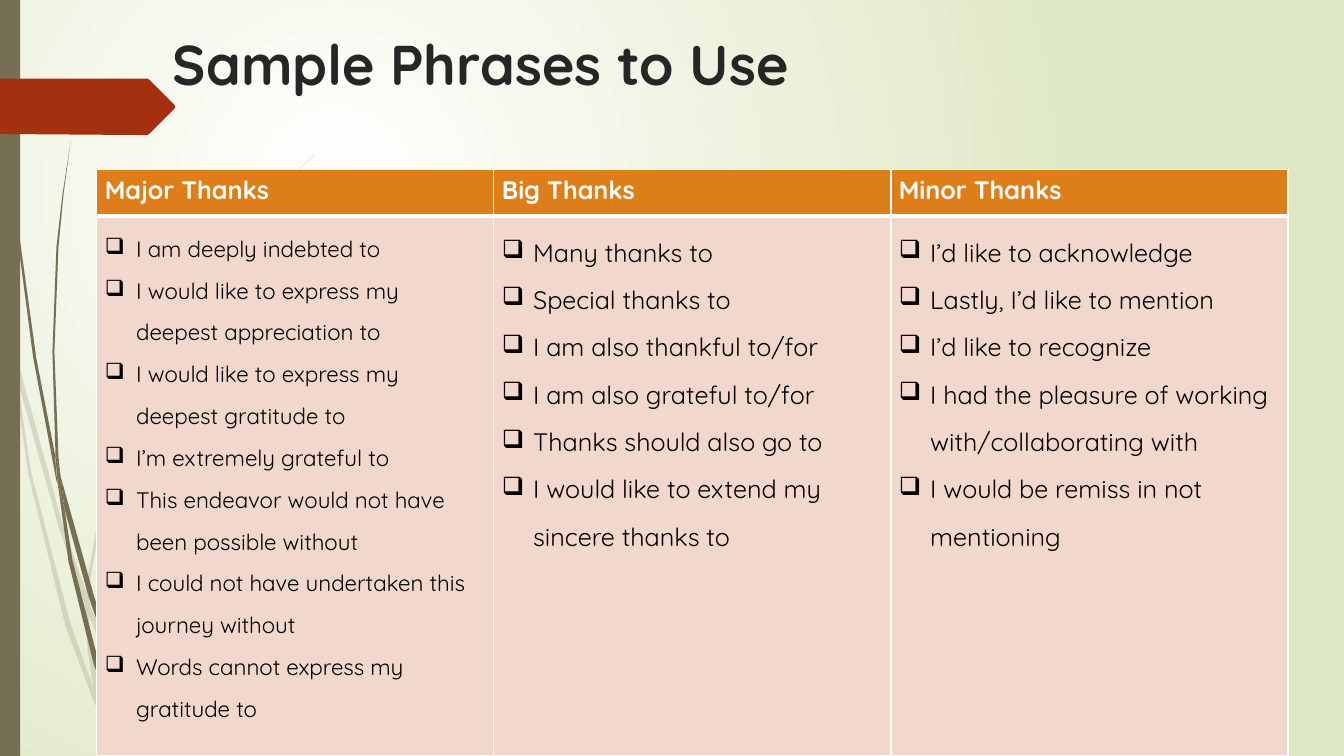
from dataclasses import dataclass

from pptx import Presentation
from pptx import util as u
from pptx.dml.color import RGBColor
from pptx.enum import shapes, text
from pptx.oxml import parse_xml
from pptx.oxml.ns import nsdecls, qn


@dataclass(frozen=True)
class Theme:
    font: str = "Quicksand"
    title_size: int = 40
    text_size: int = 18
    small_size: int = 16
    ink: str = "262626"
    black: str = "000000"
    white: str = "FFFFFF"
    leaf: str = "DFE8C4"
    stem: str = "766F54"
    arrow: str = "A53010"
    header: str = "DE7E18"
    body: str = "F2D8CC"


THEME = Theme()
OUTLINE_UNIT = u.Cm(2.54) / 100  # outlines are in hundredths of an inch

# Heading, type size and phrases of each column
COLUMNS = [
    ("Major Thanks", THEME.small_size, [
        "I am deeply indebted to",
        "I would like to express my deepest appreciation to",
        "I would like to express my deepest gratitude to",
        "I’m extremely grateful to",
        "This endeavor would not have been possible without",
        "I could not have undertaken this journey without",
        "Words cannot express my gratitude to"]),
    ("Big Thanks", THEME.text_size, [
        "Many thanks to",
        "Special thanks to",
        "I am also thankful to/for",
        "I am also grateful to/for",
        "Thanks should also go to",
        "I would like to extend my sincere thanks to"]),
    ("Minor Thanks", THEME.text_size, [
        "I’d like to acknowledge",
        "Lastly, I’d like to mention",
        "I’d like to recognize",
        "I had the pleasure of working with/collaborating with",
        "I would be remiss in not mentioning"]),
]

# Grass blades: x, y, x, y, ... along each outline
PALE_BLADES = [
    (11, 350, 9, 322, 0, 282, 0, 299, 10, 344),
    (58, 522, 84, 599, 85, 586, 62, 520, 14, 345, 17, 376),
    (92, 607, 88, 596, 88, 610, 123, 694, 150, 750, 155, 750, 127, 692),
    (119, 750, 124, 750, 105, 711),
    (93, 683, 70, 619, 31, 469, 17, 376, 11, 350, 28, 470, 65, 621, 92, 693,
     101, 714, 99, 707),
    (84, 599, 87, 646, 93, 683, 96, 692, 105, 711, 103, 706, 91, 646, 88, 610,
     88, 608),
    (88, 584, 110, 462, 160, 349, 229, 245, 268, 198, 290, 175, 312, 154,
     312, 153, 289, 175, 268, 197, 228, 244, 158, 348, 107, 461, 85, 584,
     85, 586, 88, 596),
    (101, 714, 114, 750, 119, 750),
    (88, 608, 88, 610, 88, 596, 85, 586, 84, 599),
    (96, 692, 93, 683, 99, 707, 101, 714, 119, 750, 105, 711),
]
DARK_BLADES = [
    (7, 110, 17, 233, 33, 355, 56, 477, 57, 481, 55, 457, 55, 453, 36, 355,
     19, 232, 8, 109, 5, 48, 4, 0, 3, 0, 4, 48),
    (88, 592, 106, 645, 106, 633, 106, 631, 93, 590, 60, 472, 64, 505),
    (113, 649, 110, 641, 111, 656, 132, 708, 152, 749, 157, 749, 136, 706),
    (110, 691, 98, 657, 72, 556, 64, 505, 57, 477, 68, 557, 93, 659, 111, 708,
     117, 722, 116, 717),
    (60, 472, 58, 453, 54, 349, 58, 245, 63, 193, 70, 141, 62, 193, 56, 245,
     52, 349, 55, 449),
    (133, 749, 136, 749, 122, 719),
    (57, 477, 64, 505, 60, 472, 55, 449, 55, 453),
    (111, 633, 125, 552, 158, 476, 205, 406, 231, 374, 245, 359, 261, 344,
     260, 344, 245, 358, 231, 373, 204, 405, 156, 474, 122, 551, 106, 631,
     110, 641),
    (117, 722, 127, 749, 131, 749),
    (106, 645, 110, 691, 116, 706, 122, 719, 121, 716, 111, 656, 109, 651),
    (106, 645, 109, 651, 111, 656, 110, 641, 106, 631, 106, 633),
    (116, 706, 110, 691, 116, 717, 117, 722, 130, 749, 133, 749, 122, 719),
]
TITLE_ARROW = (173, 108, 148, 133, 146, 134, 136, 134, 0, 133, 0, 78, 136, 78,
               146, 78, 148, 79, 173, 104, 174, 106)


def rgb(color):
    return RGBColor.from_string(color)


def paint_background(page):
    page.background.fill.solid()
    holder = page._element.find(".//" + qn("p:bgPr"))
    holder.remove(holder[0])
    stops = "".join(f'<a:gs pos="{pos}"><a:srgbClr val="{color}"/></a:gs>'
                    for pos, color in ((0, THEME.white), (100000, THEME.leaf)))
    holder.insert(0, parse_xml(
        f'<a:gradFill {nsdecls("a")}><a:gsLst>{stops}</a:gsLst>'
        '<a:path path="circle"><a:fillToRect l="50000" t="50000" r="100000" '
        'b="100000"/></a:path></a:gradFill>'))


def paint_shape(shape, color, opacity=100):
    shape.shadow.inherit = False
    shape.line.fill.background()
    shape.fill.solid()
    shape.fill.fore_color.rgb = rgb(color)
    if opacity < 100:
        tint = shape._element.spPr.find(".//" + qn("a:srgbClr"))
        tint.append(parse_xml(
            f'<a:alpha {nsdecls("a")} val="{opacity * 1000}"/>'))


def add_outline(parent, outline, color, opacity=100):
    points = list(zip(outline[::2], outline[1::2]))
    builder = parent.shapes.build_freeform(*points[0], scale=OUTLINE_UNIT)
    builder.add_line_segments(points[1:], close=True)
    paint_shape(builder.convert_to_shape(), color, opacity)


def add_grass(page, blades, opacity):
    group = page.shapes.add_group_shape()
    for blade in blades:
        add_outline(group, blade, THEME.stem, opacity)


def add_span(para, words, size, color, bold=False):
    span = para.add_run()
    span.text = words
    span.font.name = THEME.font
    span.font.size = u.Pt(size)
    span.font.bold = bold
    span.font.color.rgb = rgb(color)


def add_title(page, words):
    box = page.shapes.add_textbox(u.Cm(4.11), u.Cm(0.61), u.Cm(27.84), u.Cm(2.29))
    box.text_frame.word_wrap = True
    box.text_frame.vertical_anchor = text.MSO_ANCHOR.TOP
    add_span(box.text_frame.paragraphs[0], words, THEME.title_size, THEME.ink, True)


def style_cell(cell, color, borders):
    cell.fill.solid()
    cell.fill.fore_color.rgb = rgb(color)
    cell.margin_left = cell.margin_right = u.Cm(0.2)
    cell.margin_top = cell.margin_bottom = u.Cm(0.13)
    for index, (side, width) in enumerate(borders.items()):
        cell._tc.get_or_add_tcPr().insert(index, parse_xml(
            f'<a:ln{side} {nsdecls("a")} w="{u.Pt(width)}"><a:solidFill>'
            f'<a:srgbClr val="{THEME.white}"/></a:solidFill></a:ln{side}>'))


def add_bullet(para, words, size):
    para.line_spacing = 1.5
    indent = u.Cm(0.79)
    props = para._p.get_or_add_pPr()
    props.set("marL", str(indent))
    props.set("indent", str(-indent))
    props.append(parse_xml(f'<a:buChar {nsdecls("a")} char="❑"/>'))
    add_span(para, words, size, THEME.black)


def add_phrase_table(page):
    heights = (u.Cm(1.17), u.Cm(13.61))
    table = page.shapes.add_table(2, len(COLUMNS), u.Cm(2.44), u.Cm(4.27),
                                  u.Cm(30.02), sum(heights)).table
    table.horz_banding = False
    for row, height in zip(table.rows, heights):
        row.height = height
    sides = {"L": 1, "R": 1, "T": 1}
    for index, (heading, size, phrases) in enumerate(COLUMNS):
        head, body = table.cell(0, index), table.cell(1, index)
        style_cell(head, THEME.header, {**sides, "B": 3})
        add_span(head.text_frame.paragraphs[0], heading, THEME.text_size,
                 THEME.white, True)
        style_cell(body, THEME.body, {"L": 1, "R": 1, "T": 3})
        frame = body.text_frame
        for number, phrase in enumerate(phrases):
            para = frame.add_paragraph() if number else frame.paragraphs[0]
            add_bullet(para, phrase, size)


def main():
    deck = Presentation()
    deck.slide_width, deck.slide_height = u.Cm(33.87), u.Cm(19.05)
    page = deck.slides.add_slide(deck.slide_layouts[6])

    # Backdrop
    paint_background(page)
    add_grass(page, PALE_BLADES, 20)
    add_grass(page, DARK_BLADES, 100)
    strip = page.shapes.add_shape(shapes.MSO_SHAPE.RECTANGLE, 0, 0,
                                  u.Cm(0.51), deck.slide_height)
    paint_shape(strip, THEME.stem)
    add_outline(page, TITLE_ARROW, THEME.arrow)

    # Content
    add_title(page, "Sample Phrases to Use")
    add_phrase_table(page)
    deck.save("out.pptx")


main()
